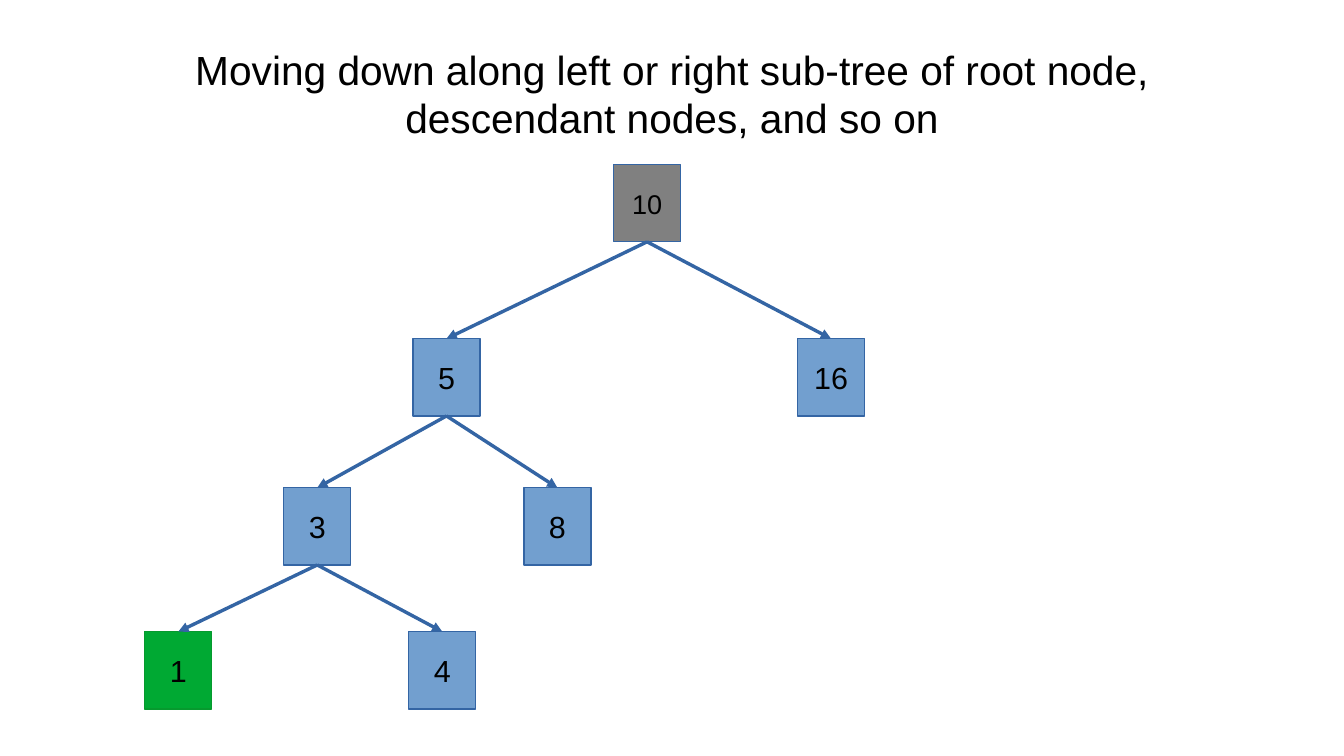
from pptx import Presentation
from pptx.dml.color import RGBColor
from pptx.enum.shapes import MSO_CONNECTOR, MSO_SHAPE
from pptx.enum.text import MSO_ANCHOR, MSO_AUTO_SIZE, PP_ALIGN
from pptx.oxml.ns import qn
from pptx.util import Pt
from lxml import etree

RECT = MSO_SHAPE.RECTANGLE
LINE = MSO_CONNECTOR.STRAIGHT
MID = MSO_ANCHOR.MIDDLE
FIXED = MSO_AUTO_SIZE.NONE
CENTER = PP_ALIGN.CENTER
BOTTOM, TOP = 2, 0

COLORS = {
    "text": "000000",
    "root": "808080",
    "node": "729FCF",
    "edge": "3465A4",
    "goal": "00A933",
    "rim": "069A2E",
}


def color(name):
    return RGBColor.from_string(COLORS[name])


def write(shape, text, size=18, pad=(7.2, 3.6), font="Arial", ink="text"):
    """Fill the shape with centred text; pad is the side and top inset."""
    frame = shape.text_frame
    frame.word_wrap = True
    frame.auto_size = FIXED
    frame.vertical_anchor = MID
    frame.margin_left = frame.margin_right = Pt(pad[0])
    frame.margin_top = frame.margin_bottom = Pt(pad[1])
    para = frame.paragraphs[0]
    para.alignment = CENTER
    for i, part in enumerate(text.splitlines()):
        if i:
            para.add_line_break()
        run = para.add_run()
        run.text = part
        run.font.size = Pt(size)
        run.font.name = font
        run.font.color.rgb = color(ink)
    for gap in para._p.findall(qn("a:br")):
        etree.SubElement(gap, qn("a:rPr"), sz=str(size * 100))


deck = Presentation()
deck.slide_width, deck.slide_height = Pt(793.44), Pt(446.4)
slide = deck.slides.add_slide(deck.slide_layouts[5])
shapes = slide.shapes

title = shapes.title
title.left, title.top, title.width, title.height = Pt(39.6), Pt(18), Pt(714.24), Pt(74.16)
write(title, "Moving down along left or right sub-tree of root node,\n"
      "descendant nodes, and so on", size=24, pad=(0, 0))

# Tree nodes: label, left, level, fill, outline, text size
WIDE, HIGH = 39.6, 45.6
LEVELS = [97.2, 200, 288, 373]
NODES = [
    ("10", 362.2, 0, "root", "edge", 16),
    ("5", 243.8, 1, "node", "edge", 18),
    ("16", 470.8, 1, "node", "edge", 18),
    ("3", 167.5, 2, "node", "edge", 18),
    ("8", 309.3, 2, "node", "edge", 18),
    ("1", 85.5, 3, "goal", "rim", 18),
    ("4", 241.3, 3, "node", "edge", 18),
]
boxes = {}
for label, left, level, fill, rim, size in NODES:
    box = shapes.add_shape(RECT, Pt(left), Pt(LEVELS[level]), Pt(WIDE), Pt(HIGH))
    box.shadow.inherit = False
    box.fill.solid()
    box.fill.fore_color.rgb = color(fill)
    box.line.color.rgb = color(rim)
    box.line.width = Pt(0)
    write(box, label, size=size)
    boxes[label] = box

# Arrows from each parent to its two children
TREE = {"10": ("5", "16"), "5": ("3", "8"), "3": ("1", "4")}
for parent, kids in TREE.items():
    for kid in kids:
        edge = shapes.add_connector(LINE, 0, 0, 0, 0)
        edge.begin_connect(boxes[parent], BOTTOM)
        edge.end_connect(boxes[kid], TOP)
        edge.line.color.rgb = color("edge")
        edge.line.width = Pt(0)
        props = edge._element.spPr
        etree.SubElement(props.find(qn("a:ln")), qn("a:tailEnd"), type="triangle")
        etree.SubElement(props, qn("a:effectLst"))

deck.save("out.pptx")
